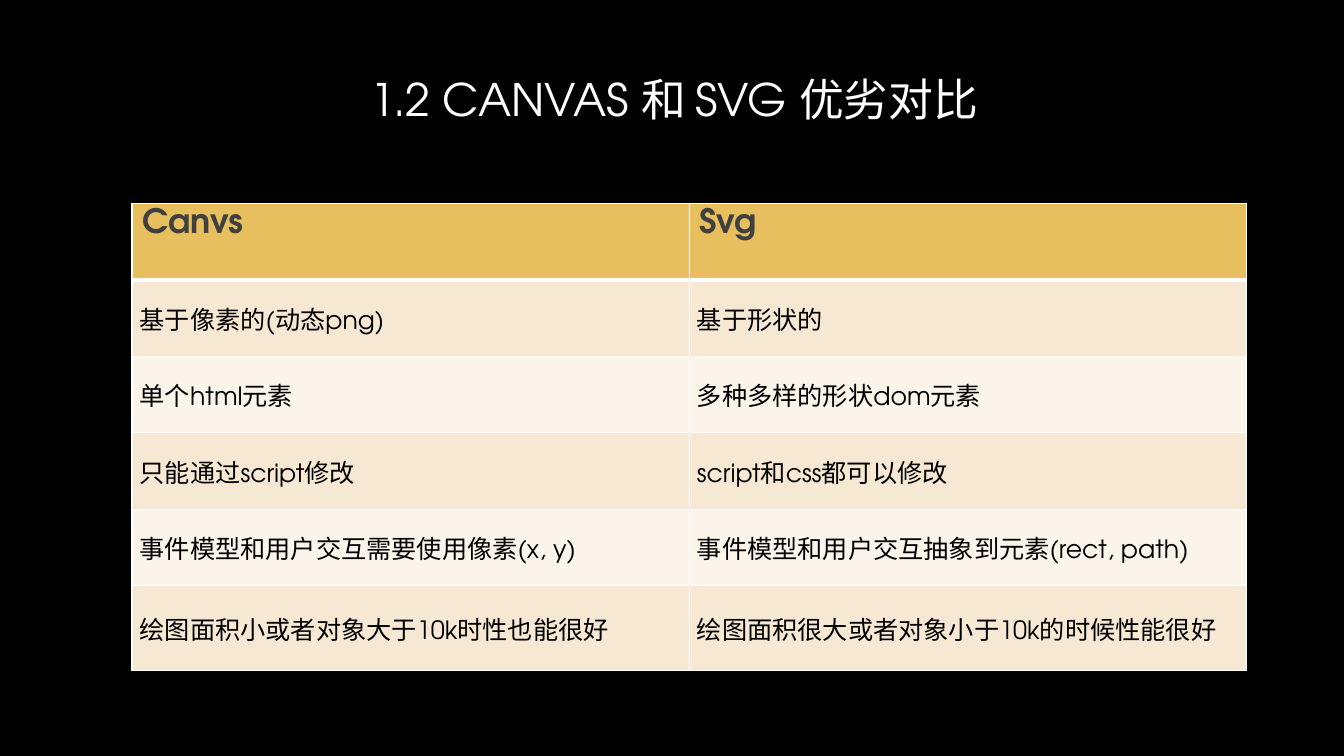
from lxml.etree import SubElement
from pptx import Presentation
from pptx.dml.color import RGBColor
from pptx.enum.text import MSO_ANCHOR, MSO_AUTO_SIZE, PP_ALIGN
from pptx.oxml.ns import qn
from pptx.util import Pt

FONT = "TeX Gyre Adventor"
HEX = {
    "back": "000000",
    "title": "FFFFFF",
    "line": "FFFFFF",
    "gold": "E7BF5F",
    "sand": "F6E8D2",
    "cream": "FAF4EA",
    "head": "404040",
    "body": "000000",
}
ROWS = [
    ("Canvs", "Svg"),
    ("基于像素的(动态png)", "基于形状的"),
    ("单个html元素", "多种多样的形状dom元素"),
    ("只能通过script修改", "script和css都可以修改"),
    ("事件模型和用户交互需要使用像素(x, y)", "事件模型和用户交互抽象到元素(rect, path)"),
    ("绘图面积小或者对象大于10k时性也能很好", "绘图面积很大或者对象小于10k的时候性能很好"),
]


def style(para, size, color, bold=False):
    font = para.font
    font.name = FONT
    font.size = Pt(size)
    font.bold = bold
    font.color.rgb = RGBColor.from_string(HEX[color])


def border(cell, sides):
    props = cell._tc.get_or_add_tcPr()
    for spot, (side, width) in enumerate(sides.items()):
        line = SubElement(props, qn(f"a:ln{side}"), w=str(Pt(width)))
        fill = SubElement(line, qn("a:solidFill"))
        SubElement(fill, qn("a:srgbClr"), val=HEX["line"])
        props.insert(spot, line)


deck = Presentation()
deck.slide_width, deck.slide_height = Pt(960), Pt(540)
slide = deck.slides.add_slide(deck.slide_layouts[5])
slide.background.fill.solid()
slide.background.fill.fore_color.rgb = RGBColor.from_string(HEX["back"])

title = slide.shapes.title
title.left, title.top, title.width, title.height = Pt(134.6), Pt(48.2), Pt(694.8), Pt(45.4)
frame = title.text_frame
frame.text = "1.2 CANVAS 和 SVG 优劣对比"
frame.auto_size = MSO_AUTO_SIZE.NONE
frame.vertical_anchor = MSO_ANCHOR.BOTTOM
frame.paragraphs[0].alignment = PP_ALIGN.CENTER
style(frame.paragraphs[0], 32, "title")

table = slide.shapes.add_table(len(ROWS), 2, Pt(94.3), Pt(145.4), Pt(796), Pt(334)).table
for row in table.rows:
    row.height = Pt(54.6)
table.rows[len(ROWS) - 1].height = Pt(60.5)

for r, texts in enumerate(ROWS):
    for c, text in enumerate(texts):
        cell = table.cell(r, c)
        cell.text = text
        para = cell.text_frame.paragraphs[0]
        if r == 0:
            fill = "gold"
            style(para, 24, "head", True)
        else:
            fill = "sand" if r % 2 else "cream"
            style(para, 18, "body")
            cell.vertical_anchor = MSO_ANCHOR.MIDDLE
            cell.margin_left = cell.margin_right = Pt(5.5)
            cell.margin_top = cell.margin_bottom = Pt(5.5)
        cell.fill.solid()
        cell.fill.fore_color.rgb = RGBColor.from_string(HEX[fill])
        top = 3 if r == 1 else 1
        low = 3 if r == 0 else 1
        border(cell, {"L": 1, "R": 1, "T": top, "B": low})

deck.save("out.pptx")
